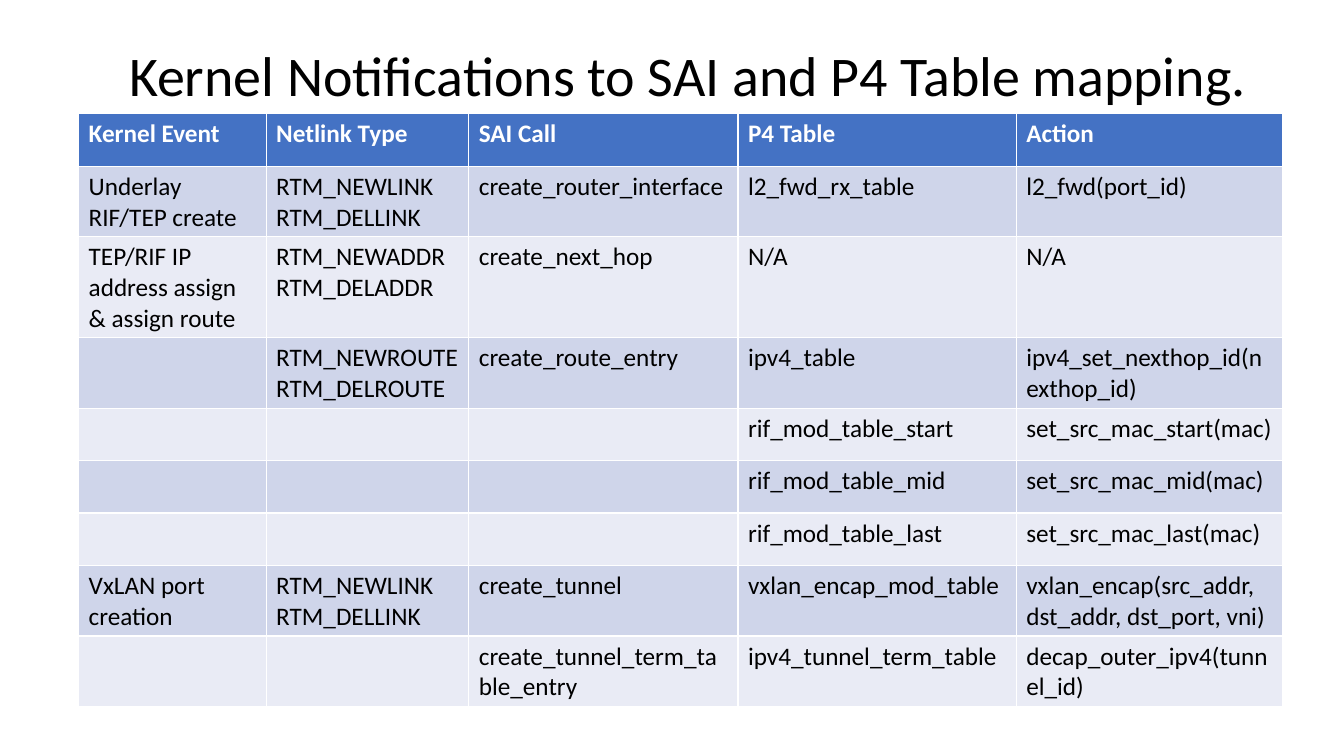
"""Build the slide that maps kernel notifications to SAI calls and P4 tables."""
from pptx import Presentation
from pptx import util as u
from pptx.dml import color
from pptx.enum import text

THEME = {
    "font": "Calibri",
    "title_size": u.Pt(40),
    "table_size": u.Pt(18),
    "ink": color.RGBColor.from_string("000000"),
    "header_ink": color.RGBColor.from_string("FFFFFF"),
    "header_fill": color.RGBColor.from_string("4472C4"),
    "band_fills": [color.RGBColor.from_string(c) for c in ("E9EBF5", "CFD5EA")],
}
LINK_TYPES = "RTM_NEWLINK\nRTM_DELLINK"
ROWS = [
    ("Kernel Event", "Netlink Type", "SAI Call", "P4 Table", "Action"),
    ("Underlay RIF/TEP create", LINK_TYPES, "create_router_interface",
     "l2_fwd_rx_table", "l2_fwd(port_id)"),
    ("TEP/RIF IP address assign & assign route", "RTM_NEWADDR\nRTM_DELADDR",
     "create_next_hop", "N/A", "N/A"),
    ("", "RTM_NEWROUTE\nRTM_DELROUTE", "create_route_entry",
     "ipv4_table", "ipv4_set_nexthop_id(nexthop_id)"),
    ("", "", "", "rif_mod_table_start", "set_src_mac_start(mac)"),
    ("", "", "", "rif_mod_table_mid", "set_src_mac_mid(mac)"),
    ("", "", "", "rif_mod_table_last", "set_src_mac_last(mac)"),
    ("VxLAN port creation", LINK_TYPES, "create_tunnel",
     "vxlan_encap_mod_table", "vxlan_encap(src_addr,\ndst_addr, dst_port, vni)"),
    ("", "", "create_tunnel_term_table_entry",
     "ipv4_tunnel_term_table", "decap_outer_ipv4(tunnel_id)"),
]
COLUMN_WIDTHS = [1.86, 2.01, 2.67, 2.76, 2.64]
ROW_HEIGHTS = [0.52] * (len(ROWS) - 1) + [0.59]


def style_text(frame, size, ink, bold=False):
    """Apply one font to every paragraph of a text frame."""
    for para in frame.paragraphs:
        para.alignment = text.PP_ALIGN.LEFT
        para.font.color.rgb = ink
        for name, value in {"name": THEME["font"], "size": size, "bold": bold}.items():
            setattr(para.font, name, value)


deck = Presentation()
deck.slide_width, deck.slide_height = u.Inches(13.33), u.Inches(7.5)
page = deck.slides.add_slide(deck.slide_layouts[5])

title = page.shapes.title
title_place = {"left": 1.18, "top": 0.35, "width": 11.53, "height": 0.77}
for name, value in title_place.items():
    setattr(title, name, u.Inches(value))
title.text_frame.text = "Kernel Notifications to SAI and P4 Table mapping."
title_format = {
    "word_wrap": True,
    "auto_size": text.MSO_AUTO_SIZE.SHAPE_TO_FIT_TEXT,
    "vertical_anchor": text.MSO_ANCHOR.TOP,
}
for name, value in title_format.items():
    setattr(title.text_frame, name, value)
style_text(title.text_frame, THEME["title_size"], THEME["ink"])

table = page.shapes.add_table(
    len(ROWS), len(COLUMN_WIDTHS), u.Inches(0.78), u.Inches(1.13),
    u.Inches(sum(COLUMN_WIDTHS)), u.Inches(sum(ROW_HEIGHTS))).table
for column, width in zip(table.columns, COLUMN_WIDTHS):
    column.width = u.Inches(width)

for index, (row, height, words) in enumerate(zip(table.rows, ROW_HEIGHTS, ROWS)):
    row.height = u.Inches(height)
    header = index == 0
    fill = THEME["header_fill"] if header else THEME["band_fills"][index % 2]
    ink = THEME["header_ink"] if header else THEME["ink"]
    for cell, wording in zip(row.cells, words):
        cell.text = wording
        cell.fill.solid()
        cell.fill.fore_color.rgb = fill
        style_text(cell.text_frame, THEME["table_size"], ink, header)

deck.save("out.pptx")
